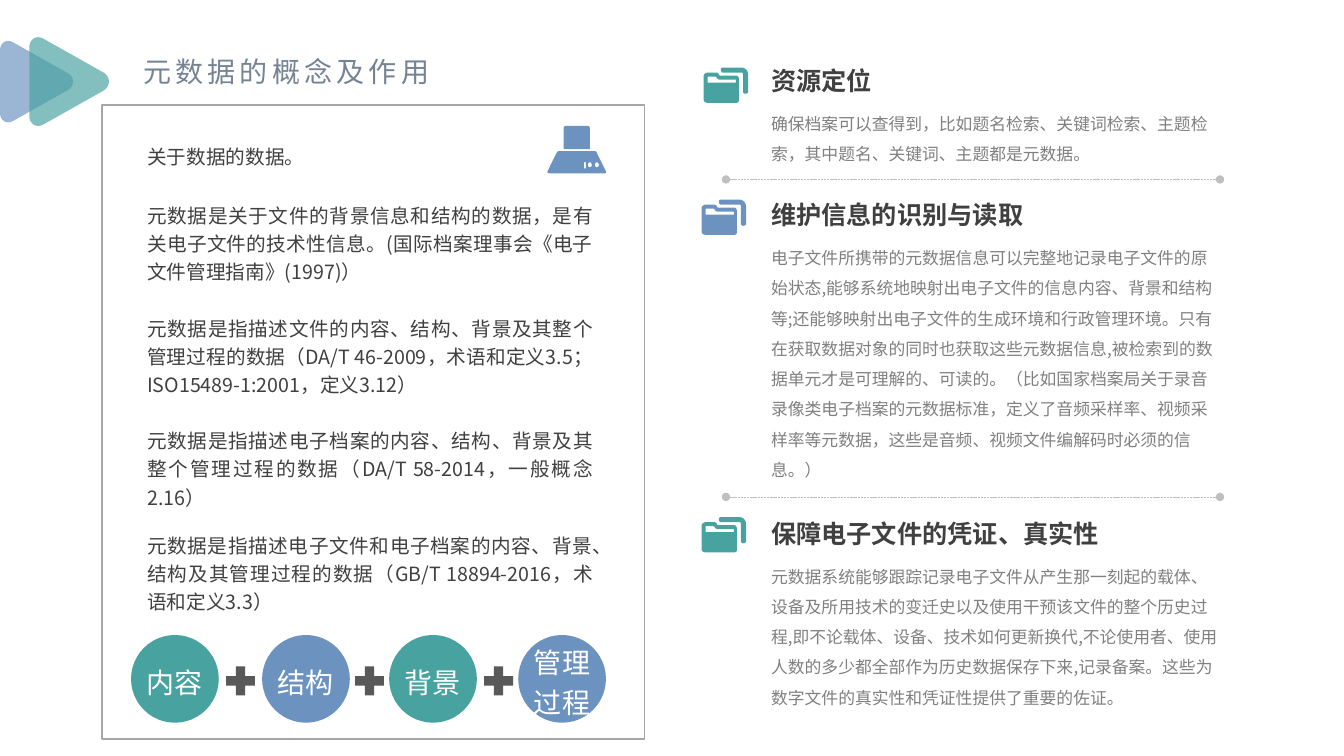
"""Build the slide on the concept and role of metadata."""
import lxml.etree
import pptx
import pptx.dml.color
import pptx.enum.dml
import pptx.enum.shapes
import pptx.enum.text
import pptx.oxml.ns
import pptx.util

Inches = pptx.util.Inches
Pt = pptx.util.Pt
RGBColor = pptx.dml.color.RGBColor
SHAPES = pptx.enum.shapes.MSO_SHAPE
ALIGN = pptx.enum.text.PP_ALIGN
ANCHOR = pptx.enum.text.MSO_ANCHOR
qn = pptx.oxml.ns.qn

FONT = "Noto Sans CJK SC"
TEAL = RGBColor(0x48, 0xA2, 0xA0)
BLUE = RGBColor(0x6C, 0x92, 0xC0)
SLATE = RGBColor(0x76, 0x83, 0x94)
DARK = RGBColor(0x40, 0x40, 0x40)
PLUS_GRAY = RGBColor(0x59, 0x59, 0x59)
TEXT_GRAY = RGBColor(0x80, 0x80, 0x80)
FRAME_GRAY = RGBColor(0xA6, 0xA6, 0xA6)
RULE_GRAY = RGBColor(0xBF, 0xBF, 0xBF)
WHITE = RGBColor(0xFF, 0xFF, 0xFF)

TRIANGLE = [[(0.68, -0.08), (0.13, -0.39), (0.06, -0.43, 0, -0.38, 0, -0.31), (0, 0.31),
             (0, 0.38, 0.06, 0.43, 0.13, 0.39), (0.68, 0.08), (0.74, 0.04, 0.74, -0.04, 0.68, -0.08)]]
FOLDER = [
    [(0.04, 0.09), (0.04, 0.15), (0.32, 0.15), (0.32, 0.12), (0.16, 0.12),
     (0.15, 0.12, 0.13, 0.11, 0.13, 0.1), (0.12, 0.09)],
    [(0.04, 0.05), (0.12, 0.05), (0.14, 0.05, 0.15, 0.06, 0.15, 0.07), (0.16, 0.08), (0.32, 0.08),
     (0.34, 0.08, 0.35, 0.1, 0.35, 0.12), (0.35, 0.32), (0.35, 0.34, 0.34, 0.35, 0.32, 0.35),
     (0.04, 0.35), (0.02, 0.35, 0, 0.34, 0, 0.32), (0, 0.08), (0, 0.07, 0.02, 0.05, 0.04, 0.05)],
    [(0.19, 0), (0.37, 0), (0.41, 0, 0.44, 0.03, 0.44, 0.07), (0.44, 0.24),
     (0.44, 0.25, 0.43, 0.26, 0.41, 0.26), (0.4, 0.26, 0.39, 0.25, 0.39, 0.24), (0.39, 0.07),
     (0.39, 0.05, 0.38, 0.05, 0.37, 0.05), (0.19, 0.05), (0.18, 0.05, 0.17, 0.04, 0.17, 0.02),
     (0.17, 0.01, 0.18, 0, 0.19, 0)],
]
DEVICE = [
    [(0.11, 0.25), (0.47, 0.25), (0.48, 0.25, 0.49, 0.26, 0.49, 0.27), (0.58, 0.45),
     (0.58, 0.46, 0.58, 0.47, 0.57, 0.47), (0.02, 0.47), (0, 0.47, 0, 0.46, 0, 0.45),
     (0.09, 0.27), (0.1, 0.26, 0.1, 0.25, 0.11, 0.25)],
    [(0.18, 0), (0.4, 0), (0.41, 0, 0.42, 0.01, 0.42, 0.02), (0.42, 0.23), (0.16, 0.23),
     (0.16, 0.02), (0.16, 0.01, 0.17, 0, 0.18, 0)],
    [(0.36, 0.36), (0.36, 0.42), (0.38, 0.42), (0.38, 0.36)],
] + [[(x, 0.36), (x - 0.01, 0.36, x - 0.02, 0.37, x - 0.02, 0.39),
      (x - 0.02, 0.4, x - 0.01, 0.41, x, 0.41), (x + 0.01, 0.41, x + 0.02, 0.4, x + 0.02, 0.39),
      (x + 0.02, 0.37, x + 0.01, 0.36, x, 0.36)] for x in (0.42, 0.49)]

DEFINITIONS = [
    ("关于数据的数据。", 0),
    ("元数据是关于文件的背景信息和结构的数据，是有关电子文件的技术性信息。(国际档案理事会《电子文件管理指南》(1997)）", 22),
    ("元数据是指描述文件的内容、结构、背景及其整个管理过程的数据（DA/T 46-2009，术语和定义3.5；ISO15489-1:2001，定义3.12）", 20),
    ("元数据是指描述电子档案的内容、结构、背景及其整个管理过程的数据（DA/T 58-2014，一般概念2.16）", 20),
    ("元数据是指描述电子文件和电子档案的内容、背景、结构及其管理过程的数据（GB/T 18894-2016，术语和定义3.3）", 14),
]
ROLES = [
    ("资源定位", "确保档案可以查得到，比如题名检索、关键词检索、主题检索，其中题名、关键词、主题都是元数据。",
     0.6, 0.67, 6.98, 0.67, TEAL),
    ("维护信息的识别与读取",
     "电子文件所携带的元数据信息可以完整地记录电子文件的原始状态,能够系统地映射出电子文件的信息内容、背景和结构等;"
     "还能够映射出电子文件的生成环境和行政管理环境。只有在获取数据对象的同时也获取这些元数据信息,"
     "被检索到的数据单元才是可理解的、可读的。（比如国家档案局关于录音录像类电子档案的元数据标准，"
     "定义了音频采样率、视频采样率等元数据，这些是音频、视频文件编解码时必须的信息。）",
     1.93, 2.49, 6.96, 1.98, BLUE),
    ("保障电子文件的凭证、真实性",
     "元数据系统能够跟踪记录电子文件从产生那一刻起的载体、设备及所用技术的变迁史以及使用干预该文件的整个历史过程,"
     "即不论载体、设备、技术如何更新换代,不论使用者、使用人数的多少都全部作为历史数据保存下来,记录备案。"
     "这些为数字文件的真实性和凭证性提供了重要的佐证。",
     5.09, 1.58, 6.96, 5.13, TEAL),
]
ELEMENTS = [(["内容"], 1.3, TEAL), (["结构"], 2.6, BLUE),
            (["背景"], 3.86, TEAL), (["管理", "过程"], 5.14, BLUE)]


def place(shape, left, top, width, height):
    shape.left, shape.top = Inches(left), Inches(top)
    shape.width, shape.height = Inches(width), Inches(height)


def write(paragraph, text, size, color, bold=False, align=ALIGN.LEFT, spacing=1.0, before=0):
    paragraph.alignment = align
    paragraph.line_spacing = spacing
    paragraph.space_before = Pt(before)
    run = paragraph.add_run()
    run.text = text
    run.font.size, run.font.bold = Pt(size), bold
    run.font.color.rgb = color
    run.font.name = FONT
    properties = run.font._element
    lxml.etree.SubElement(properties, qn("a:ea")).set("typeface", FONT)
    return properties


def prepare_frame(shape, wrap=True, anchor=ANCHOR.TOP):
    frame = shape.text_frame
    frame.auto_size = pptx.enum.text.MSO_AUTO_SIZE.NONE
    frame.word_wrap = wrap
    frame.vertical_anchor = anchor
    return frame


def add_text(slide, box, text, size, color, bold=False, spacing=1.0):
    shape = slide.shapes.add_textbox(*map(Inches, box))
    write(prepare_frame(shape).paragraphs[0], text, size, color, bold, spacing=spacing)


def paint(shape, color):
    shape.shadow.inherit = False
    shape.fill.solid()
    shape.fill.fore_color.rgb = color
    shape.line.fill.background()


def flatten(contour, steps=8):
    points = []
    for node in contour:
        if len(node) == 2:
            points.append(node)
            continue
        start, nodes = points[-1], (node[:2], node[2:4], node[4:])
        for step in range(1, steps + 1):
            t = step / steps
            weights = ((1 - t) ** 3, 3 * t * (1 - t) ** 2, 3 * t * t * (1 - t), t ** 3)
            points.append(tuple(sum(weight * point[axis] for weight, point in zip(weights, (start, *nodes)))
                                for axis in (0, 1)))
    return points


def add_outline(slide, contours, left, top, color, scale=1.0, alpha=None):
    builder = None
    for contour in contours:
        points = [(Inches(left + x * scale), Inches(top + y * scale)) for x, y in flatten(contour)]
        if builder is None:
            builder = slide.shapes.build_freeform(*points[0])
        else:
            builder.move_to(*points[0])
        builder.add_line_segments(points[1:], close=True)
    shape = builder.convert_to_shape()
    paint(shape, color)
    if alpha is not None:
        fill_color = shape._element.spPr.find(".//" + qn("a:srgbClr"))
        lxml.etree.SubElement(fill_color, qn("a:alpha")).set("val", str(alpha * 1000))


def add_rule(slide, top):
    rule = slide.shapes.add_connector(pptx.enum.shapes.MSO_CONNECTOR.STRAIGHT,
                                      Inches(7.2), Inches(top), Inches(12.1), Inches(top))
    rule.line.color.rgb = RULE_GRAY
    rule.line.width = Pt(0.5)
    rule.line.dash_style = pptx.enum.dml.MSO_LINE.SQUARE_DOT
    for end in ("a:headEnd", "a:tailEnd"):
        lxml.etree.SubElement(rule.line._get_or_add_ln(), qn(end)).set("type", "oval")
    lxml.etree.SubElement(rule._element.spPr, qn("a:effectLst"))


def add_title(slide):
    title = slide.shapes.title
    place(title, 1.32, 0.49, 3.11, 0.44)
    paragraph = prepare_frame(title, wrap=False).paragraphs[0]
    write(paragraph, "元数据的概念及作用", 20, SLATE).set("spc", "300")


def add_definitions(slide):
    body = slide.placeholders[1]
    place(body, 1.36, 1.34, 4.62, 4.82)
    frame = prepare_frame(body)
    for index, (text, before) in enumerate(DEFINITIONS):
        paragraph = frame.add_paragraph() if index else frame.paragraphs[0]
        write(paragraph, text, 14, DARK, align=ALIGN.JUSTIFY, spacing=1.2, before=before)
        properties = paragraph._p.get_or_add_pPr()
        properties.set("marL", "0")
        properties.set("indent", "0")
        lxml.etree.SubElement(properties, qn("a:buNone"))


def add_frame(slide):
    frame = slide.shapes.add_shape(SHAPES.RECTANGLE, *map(Inches, (1.01, 1.04, 5.38, 6.29)))
    frame.shadow.inherit = False
    frame.fill.background()
    frame.line.color.rgb = FRAME_GRAY
    frame.line.width = Pt(1)


def add_circle(slide, lines, left, color):
    circle = slide.shapes.add_shape(SHAPES.OVAL, *map(Inches, (left, 6.3, 0.87, 0.87)))
    paint(circle, color)
    frame = prepare_frame(circle, wrap=False, anchor=ANCHOR.MIDDLE)
    frame.margin_left = frame.margin_right = frame.margin_top = frame.margin_bottom = Inches(0.03)
    for index, line in enumerate(lines):
        paragraph = frame.add_paragraph() if index else frame.paragraphs[0]
        write(paragraph, line, 20, WHITE, align=ALIGN.CENTER, spacing=1.2)


def main():
    presentation = pptx.Presentation()
    presentation.slide_width, presentation.slide_height = Inches(13.33), Inches(7.5)
    slide = presentation.slides.add_slide(presentation.slide_layouts[1])
    add_title(slide)
    add_outline(slide, TRIANGLE, 0, 0.81, BLUE, alpha=68)
    add_outline(slide, TRIANGLE, 0.29, 0.81, TEAL, scale=1.09, alpha=68)
    add_frame(slide)
    add_definitions(slide)
    add_outline(slide, DEVICE, 5.43, 1.25, BLUE)
    for heading, detail, top, height, icon_left, icon_top, color in ROLES:
        add_text(slide, (7.55, top, 3.92, 0.4), heading, 18, DARK, bold=True)
        add_text(slide, (7.55, top + 0.38, 4.63, height), detail, 12, TEXT_GRAY, spacing=1.5)
        add_outline(slide, FOLDER, icon_left, icon_top, color)
    for top in (1.78, 4.93):
        add_rule(slide, top)
    for lines, left, color in ELEMENTS:
        add_circle(slide, lines, left, color)
    for index in range(3):
        plus = slide.shapes.add_shape(SHAPES.MATH_PLUS, *map(Inches, (2.19 + 1.28 * index, 6.56, 0.39, 0.39)))
        paint(plus, PLUS_GRAY)
    presentation.save("out.pptx")


if __name__ == "__main__":
    main()
